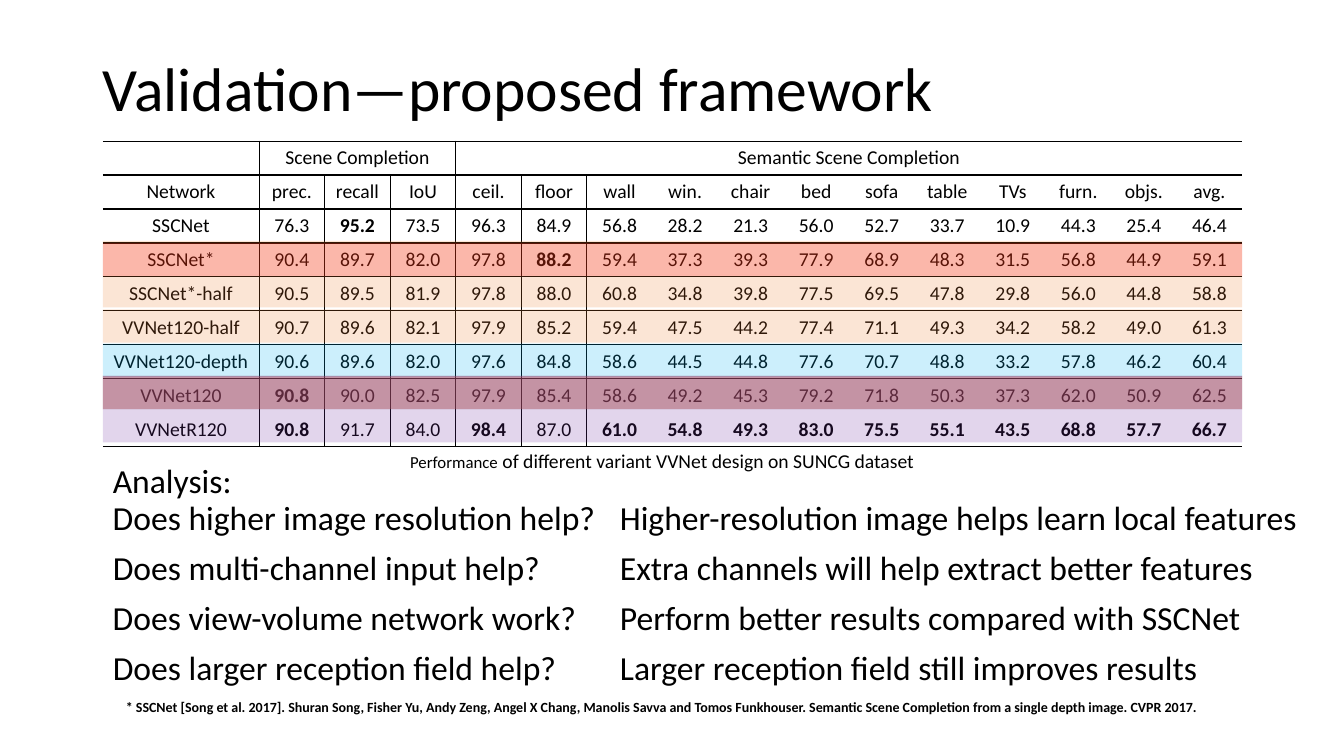
from lxml import etree
from pptx import Presentation
from pptx import util as u
from pptx.dml.color import RGBColor
from pptx.enum import shapes, text
from pptx.oxml import ns

SCALE = 9144  # EMU in one px, 100 px to the inch
FONT = "Calibri"
COLORS = {"ink": "000000", "orange": "ED7D31", "blue": "00B0F0",
          "purple": "7030A0", "red": "FF0000"}
PLAIN_TABLE = "{2D5ABB26-0587-4C30-8999-92F81FD0307C}"

# Results: a trailing "!" marks the best value in a column
HEADINGS = ["Network", "prec.", "recall", "IoU", "ceil.", "floor", "wall", "win.",
            "chair", "bed", "sofa", "table", "TVs", "furn.", "objs.", "avg."]
RESULTS = """
SSCNet 76.3 95.2! 73.5 96.3 84.9 56.8 28.2 21.3 56.0 52.7 33.7 10.9 44.3 25.4 46.4
SSCNet* 90.4 89.7 82.0 97.8 88.2! 59.4 37.3 39.3 77.9 68.9 48.3 31.5 56.8 44.9 59.1
SSCNet*-half 90.5 89.5 81.9 97.8 88.0 60.8 34.8 39.8 77.5 69.5 47.8 29.8 56.0 44.8 58.8
VVNet120-half 90.7 89.6 82.1 97.9 85.2 59.4 47.5 44.2 77.4 71.1 49.3 34.2 58.2 49.0 61.3
VVNet120-depth 90.6 89.6 82.0 97.6 84.8 58.6 44.5 44.8 77.6 70.7 48.8 33.2 57.8 46.2 60.4
VVNet120 90.8! 90.0 82.5 97.9 85.4 58.6 49.2 45.3 79.2 71.8 50.3 37.3 62.0 50.9 62.5
VVNetR120 90.8! 91.7 84.0 98.4! 87.0 61.0! 54.8! 49.3! 83.0! 75.5! 55.1! 43.5! 68.8! 57.7! 66.7!
"""
GROUPS = [("Scene Completion", 1, 3), ("Semantic Scene Completion", 4, 15)]
RULED_ROWS = {-1, 0, 1, 2, 4, 5, 8}     # rows with a line below them
RULED_COLS = {0: 0, 1: 1, 3: 0, 4: 1}   # column: first row with a line at its right

TABLE_LEFT, TABLE_TOP, TABLE_WIDTH, TABLE_HEIGHT = 102, 140, 1130, 303
NAME_WIDTH, VALUE_WIDTH = 155, 65

# Tinted bands over the table rows, from back to front
BANDS = [("orange", 239), ("orange", 373), ("orange", 272), ("orange", 307),
         ("blue", 373), ("blue", 341), ("purple", 406), ("purple", 373),
         ("red", 241), ("red", 373)]
BAND_HEIGHT = 33

# Question, its width, answer, its width, top
ANALYSIS = [
    ("Does higher image resolution help?", 503,
     "Higher-resolution image helps learn local features", 707, 488),
    ("Does multi-channel input help?", 448,
     "Extra channels will help extract better features", 655, 538),
    ("Does view-volume network work?", 486,
     "Perform better results compared with SSCNet", 642, 587),
    ("Does larger reception field help?", 465,
     "Larger reception field still improves results", 599, 637),
]


def px(length):
    return u.Emu(length * SCALE)


def write(para, words, size=24, bold=False):
    span = para.add_run()
    span.text = words
    span.font.name = FONT
    span.font.size = u.Pt(size)
    span.font.bold = bold
    span.font.color.rgb = RGBColor.from_string(COLORS["ink"])


def add_label(page, left, top, width, height, *spans, wrap=False, spacing=None,
              anchor=text.MSO_ANCHOR.TOP, **style):
    """Add a text box; each span is a string or a (string, size) pair."""
    box = page.shapes.add_textbox(px(left), px(top), px(width), px(height))
    frame = box.text_frame
    frame.word_wrap = wrap
    frame.auto_size = text.MSO_AUTO_SIZE.NONE if wrap else text.MSO_AUTO_SIZE.SHAPE_TO_FIT_TEXT
    frame.vertical_anchor = anchor
    para = frame.paragraphs[0]
    para.line_spacing = spacing
    for span in spans:
        if isinstance(span, tuple):
            write(para, span[0], size=span[1])
        else:
            write(para, span, **style)


def add_band(page, color, top):
    band = page.shapes.add_shape(shapes.MSO_SHAPE.RECTANGLE, px(TABLE_LEFT), px(top),
                                 px(TABLE_WIDTH), px(BAND_HEIGHT))
    band.shadow.inherit = False
    band.line.fill.background()
    band.fill.solid()
    band.fill.fore_color.rgb = RGBColor.from_string(COLORS[color])
    tint = band.fill._xPr.find(ns.qn("a:solidFill"))[0]
    etree.SubElement(tint, ns.qn("a:alpha"), val="20000")


def rule_cell(cell, row, col):
    """Draw the lines on the sides of one cell."""
    sides = {"lnL": col - 1 in RULED_COLS and row >= RULED_COLS[col - 1],
             "lnR": col in RULED_COLS and row >= RULED_COLS[col],
             "lnT": row - 1 in RULED_ROWS,
             "lnB": row in RULED_ROWS}
    for side, ruled in sides.items():
        if ruled:
            line = etree.SubElement(cell._tc.get_or_add_tcPr(), ns.qn("a:" + side),
                                    w=str(u.Pt(1)))
            fill = etree.SubElement(line, ns.qn("a:solidFill"))
            etree.SubElement(fill, ns.qn("a:srgbClr"), val=COLORS["ink"])


def fill_cell(cell, words):
    cell.vertical_anchor = text.MSO_ANCHOR.MIDDLE
    cell.margin_top = cell.margin_bottom = 0
    cell.fill.background()
    if words:
        para = cell.text_frame.paragraphs[0]
        para.alignment = text.PP_ALIGN.CENTER
        write(para, words.rstrip("!"), size=14, bold=words.endswith("!"))


def add_results(page):
    group_row = [""] * len(HEADINGS)
    for name, first, last in GROUPS:
        group_row[first] = name
    rows = [group_row, HEADINGS] + [line.split() for line in RESULTS.strip().splitlines()]

    table = page.shapes.add_table(len(rows), len(HEADINGS), px(TABLE_LEFT), px(TABLE_TOP),
                                  px(TABLE_WIDTH), px(TABLE_HEIGHT)).table
    table.first_row = table.horz_banding = False
    table._tbl.tblPr.find(ns.qn("a:tableStyleId")).text = PLAIN_TABLE
    for col, column in enumerate(table.columns):
        column.width = px(VALUE_WIDTH if col else NAME_WIDTH)
    for name, first, last in GROUPS:
        table.cell(0, first).merge(table.cell(0, last))
    for row, values in enumerate(rows):
        for col, words in enumerate(values):
            cell = table.cell(row, col)
            rule_cell(cell, row, col)
            fill_cell(cell, words)


def main():
    deck = Presentation()
    deck.slide_width, deck.slide_height = px(1333), px(750)
    page = deck.slides.add_slide(deck.slide_layouts[6])

    # Title
    add_label(page, 92, 40, 1150, 101, "Validation—proposed framework", size=44,
              wrap=True, spacing=0.9, anchor=text.MSO_ANCHOR.MIDDLE)

    # Results table with tinted rows and caption
    add_results(page)
    for color, top in BANDS:
        add_band(page, color, top)
    add_label(page, 397, 440, 540, 34, ("Performance", 12),
              (" of different variant VVNet design on SUNCG dataset", 14))

    # Analysis
    add_label(page, 102, 451, 139, 50, "Analysis:")
    for question, question_width, answer, answer_width, top in ANALYSIS:
        add_label(page, 102, top, question_width, 50, question)
        add_label(page, 605, top, answer_width, 50, answer)

    # Reference
    add_label(page, 115, 688, 1104, 27,
              "* SSCNet [Song et al. 2017]. Shuran Song, Fisher Yu, Andy Zeng, Angel X Chang, "
              "Manolis Savva and Tomos Funkhouser. Semantic Scene Completion from a single "
              "depth image. CVPR 2017.", size=10, bold=True)

    deck.save("out.pptx")


if __name__ == "__main__":
    main()
